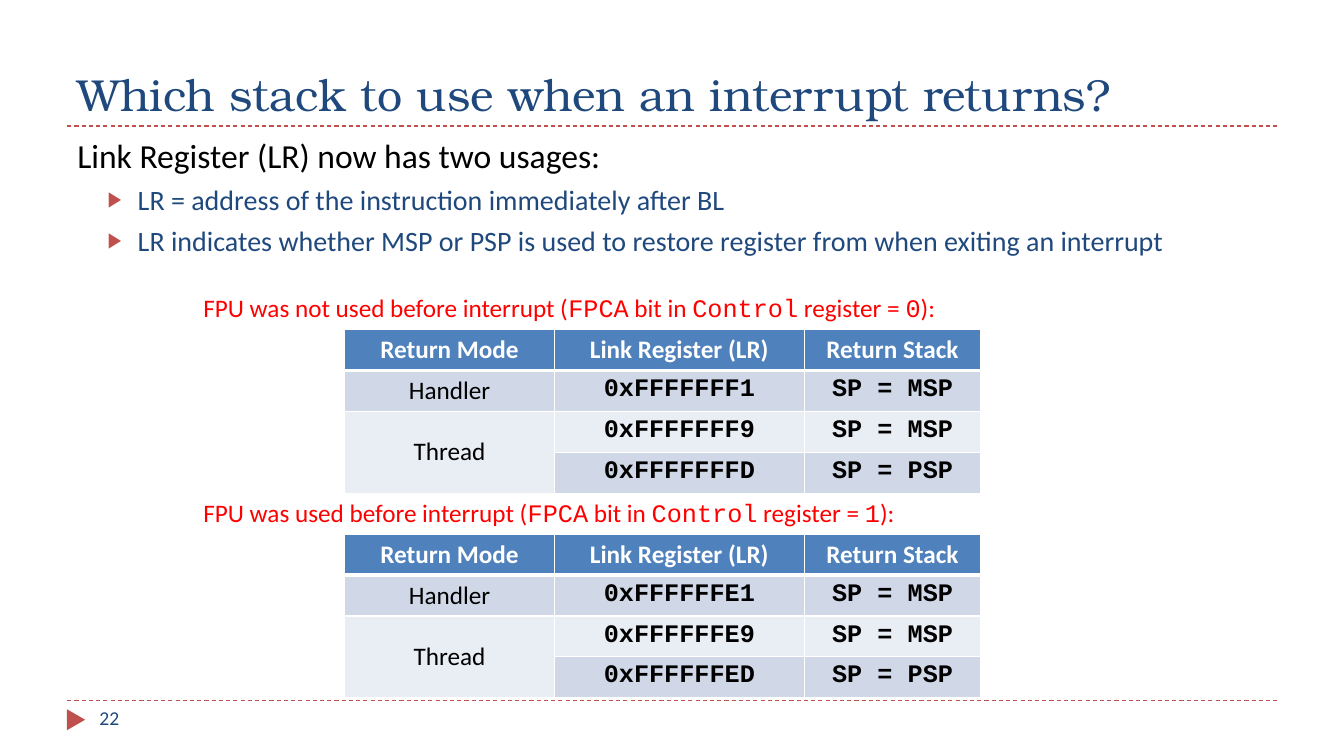
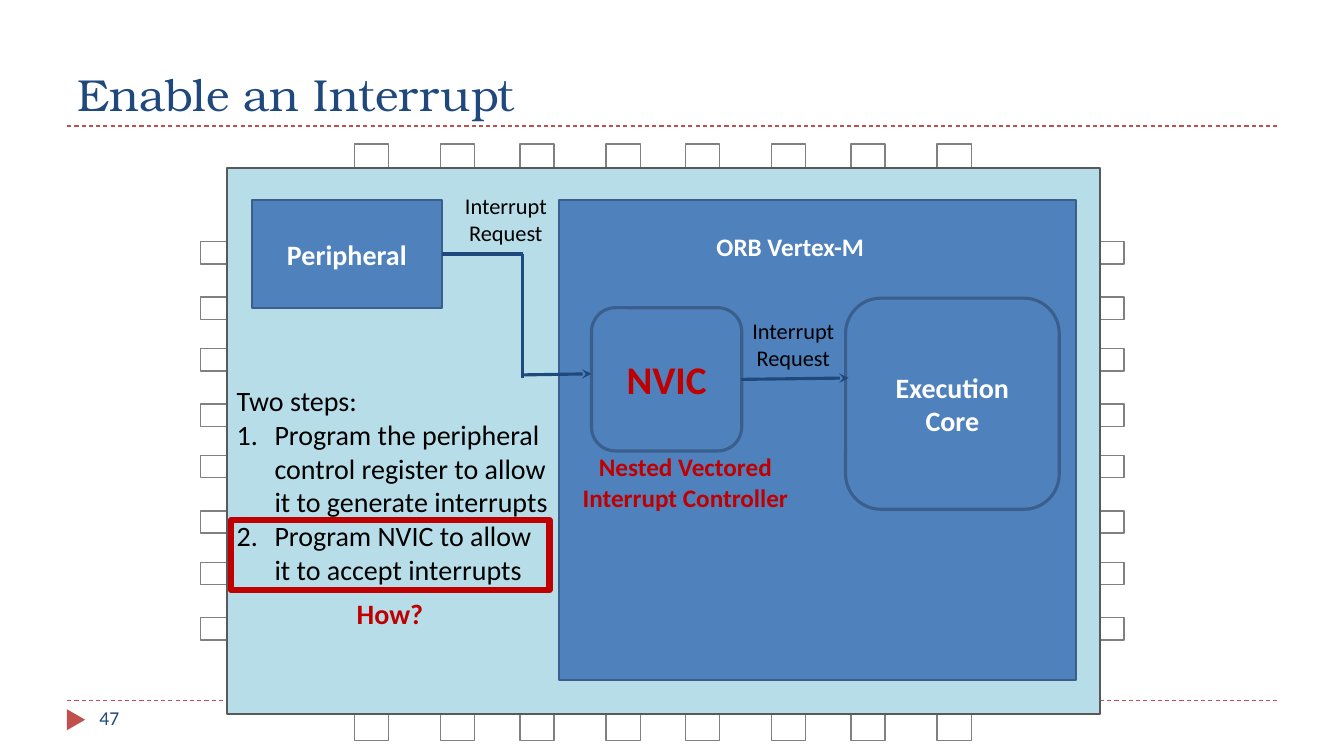
"""Build two slides about interrupt returns and enabling an interrupt."""
import itertools
from dataclasses import dataclass
from typing import Any, Optional

import lxml.etree
import pptx
import pptx.dml.color
import pptx.enum.dml
import pptx.enum.shapes
import pptx.enum.text
import pptx.oxml.ns
import pptx.util

Pt = pptx.util.Pt
qn = pptx.oxml.ns.qn
Kind = pptx.enum.shapes.MSO_SHAPE
Align = pptx.enum.text.PP_ALIGN
Anchor = pptx.enum.text.MSO_ANCHOR


@dataclass(frozen=True)
class Theme:
    navy: str = "1F497D"
    brick: str = "C0504D"
    blue: str = "4F81BD"
    edge: str = "3A5F8C"
    aqua: str = "B7DEE8"
    grey: str = "808080"
    dark: str = "595959"
    band: str = "D0D8E8"
    pale: str = "E9EDF4"
    alert: str = "FF0000"
    red: str = "C00000"
    black: str = "000000"
    white: str = "FFFFFF"
    serif: str = "TeX Gyre Bonum"
    sans: str = "Calibri"
    mono: str = "Courier New"
    title: float = 32
    huge: float = 28
    lead: float = 24
    body: float = 20
    label: float = 18
    small: float = 16
    page: float = 14


T = Theme()


@dataclass(frozen=True)
class Box:
    x: float
    y: float
    w: float
    h: float
    text: str = ""
    size: float = T.body
    ink: str = T.white
    bold: bool = True
    align: Any = Align.CENTER
    kind: Any = None
    fill: Optional[str] = None
    line: Optional[str] = None
    width: float = 1.5


@dataclass(frozen=True)
class Wire:
    x1: float
    y1: float
    x2: float
    y2: float
    color: str = T.navy
    width: float = 2.25
    dash: bool = False
    arrow: bool = False


@dataclass(frozen=True)
class Grid:
    y: float
    state: str
    bit: str
    digit: str


def tint(color: str) -> pptx.dml.color.RGBColor:
    return pptx.dml.color.RGBColor.from_string(color)


def style(para: Any, size: float, ink: str, bold: bool = False, face: Optional[str] = T.sans) -> None:
    font = para.font
    font.size, font.bold, font.name = Pt(size), bold, face
    font.color.rgb = tint(ink)


def mark(para: Any, left: float, hang: float, *parts: tuple[str, dict[str, str]]) -> None:
    props = para._p.get_or_add_pPr()
    props.set("marL", str(Pt(left)))
    props.set("indent", str(Pt(-hang)))
    for tag, attrs in parts:
        node = lxml.etree.SubElement(props, qn(tag), attrs)
        if tag == "a:buClr":
            lxml.etree.SubElement(node, qn("a:srgbClr"), {"val": T.brick})


def place(shape: Any, x: float, y: float, w: float, h: float) -> None:
    shape.left, shape.top, shape.width, shape.height = Pt(x), Pt(y), Pt(w), Pt(h)


def draw(slide: Any, box: Box) -> Any:
    area = Pt(box.x), Pt(box.y), Pt(box.w), Pt(box.h)
    if box.kind is None:
        shape = slide.shapes.add_textbox(*area)
    else:
        shape = slide.shapes.add_shape(box.kind, *area)
        shape.shadow.inherit = False
        if box.fill:
            shape.fill.solid()
            shape.fill.fore_color.rgb = tint(box.fill)
        else:
            shape.fill.background()
        if box.line:
            shape.line.color.rgb = tint(box.line)
            shape.line.width = Pt(box.width)
        else:
            shape.line.fill.background()
    if box.text:
        frame = shape.text_frame
        frame.word_wrap = True
        frame.text = box.text
        for para in frame.paragraphs:
            para.alignment = box.align
            style(para, box.size, box.ink, box.bold)
    return shape


def link(slide: Any, wire: Wire) -> Any:
    line = slide.shapes.add_connector(
        pptx.enum.shapes.MSO_CONNECTOR.STRAIGHT,
        Pt(wire.x1), Pt(wire.y1), Pt(wire.x2), Pt(wire.y2))
    line.line.color.rgb = tint(wire.color)
    line.line.width = Pt(wire.width)
    if wire.dash:
        line.line.dash_style = pptx.enum.dml.MSO_LINE.DASH
    props = line.element.spPr
    if wire.arrow:
        lxml.etree.SubElement(props.find(qn("a:ln")), qn("a:tailEnd"), {"type": "stealth"})
    lxml.etree.SubElement(props, qn("a:effectLst"))
    return line


def brand(deck: Any, slide: Any) -> None:
    rules = [link(slide, Wire(48, y, 912, y, T.brick, 0.75, dash=True)) for y in (500.4, 90)]
    arrow = draw(slide, Box(46.8, 507.6, 15, 13, kind=Kind.ISOSCELES_TRIANGLE, fill=T.brick))
    arrow.rotation = 90
    for key, shape in enumerate([*rules, arrow], 100):
        shape.element.xpath(".//p:cNvPr")[0].set("id", str(key))
        deck.slide_master.shapes.element.append(shape.element)


def start(deck: Any, layout: int, title: str, page: str) -> Any:
    slide = deck.slides.add_slide(deck.slide_layouts[layout])
    head = slide.shapes.title
    place(head, 48, 12.2, 864, 77.8)
    frame = head.text_frame
    frame.text = title
    frame.auto_size = pptx.enum.text.MSO_AUTO_SIZE.NONE
    frame.vertical_anchor = Anchor.BOTTOM
    frame.paragraphs[0].alignment = Align.LEFT
    style(frame.paragraphs[0], T.title, T.navy, face=T.serif)
    draw(slide, Box(64, 500.4, 208, 28.8, page, T.page, T.navy, False, Align.LEFT))
    return slide


def border(cell: Any, top: float, base: float) -> None:
    props = cell._tc.get_or_add_tcPr()
    for side, width in (("L", 1), ("R", 1), ("T", top), ("B", base)):
        edge = lxml.etree.SubElement(props, qn(f"a:ln{side}"), {"w": str(Pt(width))})
        fill = lxml.etree.SubElement(edge, qn("a:solidFill"))
        lxml.etree.SubElement(fill, qn("a:srgbClr"), {"val": T.white})


def table(slide: Any, grid: Grid) -> None:
    note = draw(slide, Box(138.2, grid.y - 30, 560, 28.8, " ", align=Align.LEFT))
    para = note.text_frame.paragraphs[0]
    para.clear()
    words = (f"FPU was {grid.state} before interrupt (", "FPCA", " bit in ",
             "Control", " register = ", grid.bit, "):")
    for text, face in zip(words, itertools.cycle((T.sans, T.mono))):
        run = para.add_run()
        run.text, run.font.name = text, face
    style(para, T.label, T.alert, face=None)

    rows = [("Return Mode", "Link Register (LR)", "Return Stack")]
    for mode, end, stack in (("Handler", "1", "MSP"), ("Thread", "9", "MSP"), ("", "D", "PSP")):
        rows.append((mode, f"0xFFFFFF{grid.digit}{end}", f"SP = {stack}"))
    widths, high = (149.8, 178.6, 126), 29.2
    sheet = slide.shapes.add_table(
        len(rows), len(widths), Pt(246.2), Pt(grid.y),
        Pt(sum(widths)), Pt(high * len(rows))).table
    for col, width in zip(sheet.columns, widths):
        col.width = Pt(width)
    for r, row in enumerate(rows):
        sheet.rows[r].height = Pt(high)
        for c, text in enumerate(row):
            cell = sheet.cell(r, c)
            border(cell, 3 if r == 1 else 1, 3 if r == 0 else 1)
            cell.fill.solid()
            cell.fill.fore_color.rgb = tint(T.blue if r == 0 else T.band if r % 2 else T.pale)
            cell.text = text
            para = cell.text_frame.paragraphs[0]
            para.alignment = Align.CENTER
            style(para, T.label, T.black if r else T.white, r == 0 or c > 0,
                  T.mono if r and c else T.sans)
    sheet.cell(2, 0).merge(sheet.cell(3, 0))
    sheet.cell(2, 0).vertical_anchor = Anchor.MIDDLE


def stacks(deck: Any) -> None:
    slide = start(deck, 1, "Which stack to use when an interrupt returns?", "22")
    brand(deck, slide)
    body = slide.placeholders[1]
    place(body, 48, 92.9, 864, 192)
    frame = body.text_frame
    frame.text = "\n".join((
        "Link Register (LR) now has two usages:",
        "LR = address of the instruction immediately after BL",
        "LR indicates whether MSP or PSP is used to restore register from when exiting an interrupt"))
    frame.auto_size = pptx.enum.text.MSO_AUTO_SIZE.NONE
    lead, *items = frame.paragraphs
    mark(lead, 21.6, 21.6, ("a:buNone", {}))
    lead.space_before = Pt(0)
    style(lead, T.lead, T.black)
    for para in items:
        para.level = 1
        mark(para, 43.2, 21.6, ("a:buClr", {}), ("a:buSzPct", {"val": "76000"}),
             ("a:buChar", {"char": "▶"}))
        para.space_before = Pt(5)
        style(para, T.body, T.navy)
    for grid in (Grid(235.5, "not used", "0", "F"), Grid(381.6, "used", "1", "E")):
        table(slide, grid)


def enable(deck: Any) -> None:
    slide = start(deck, 5, "Enable an Interrupt", "47")
    rect, soft = Kind.RECTANGLE, Kind.ROUNDED_RECTANGLE
    slots = list(itertools.product(range(4), range(2)))
    pins = [Box(253.2 + 118.2 * i + 61.5 * j, 103, 24.5, 426, kind=rect, line=T.grey, width=1)
            for i, j in slots]
    pins += [Box(143, 172.7 + 76.3 * i + 39.6 * j, 660, 16, kind=rect, line=T.grey, width=1)
             for i, j in slots]
    parts = [
        Box(162, 120, 624, 390, kind=rect, fill=T.aqua, line=T.dark),
        Box(180, 143, 135.6, 77, "Peripheral", kind=rect, fill=T.blue, line=T.edge),
        Box(399.4, 142.8, 369, 343, kind=rect, fill=T.blue, line=T.edge),
        Box(484, 162, 161, 28.8, "ORB Vertex-M", T.label),
        Box(604, 213, 152.6, 150.8, "Execution\nCore", kind=soft, line=T.edge, width=2.25),
        Box(422.5, 219.8, 107.3, 102.3, "NVIC", T.huge, T.red, kind=soft, line=T.edge, width=2.25),
        Box(396, 319, 187.2, 51, "Nested Vectored Interrupt Controller", T.label, T.red),
        Box(165, 371.5, 227.5, 50, kind=rect, line=T.red, width=4.5),
        Box(247.7, 422.6, 72, 32, "How?", ink=T.red, align=Align.LEFT),
    ]
    parts += [Box(x, y, 90.7, 46, "Interrupt Request", T.small, T.black, False)
              for x, y in ((316, 134), (521.3, 223.2))]
    for box in pins + parts:
        draw(slide, box)
    for wire in (Wire(373, 267.8, 422.5, 267, arrow=True), Wire(315.4, 181.4, 373.7, 181.4),
                 Wire(373, 270, 373, 181.4), Wire(529.2, 271, 606.2, 270, arrow=True)):
        link(slide, wire)
    steps = draw(slide, Box(
        162, 270.7, 239, 152.6,
        "Two steps:\nProgram the peripheral control register to allow it to generate interrupts"
        "\nProgram NVIC to allow it to accept interrupts",
        ink=T.black, bold=False, align=Align.LEFT))
    for para in steps.text_frame.paragraphs[1:]:
        para._p.pPr.remove(para._p.pPr.find(qn("a:defRPr")))
        mark(para, 27, 27, ("a:buFont", {"typeface": "+mj-lt"}),
             ("a:buAutoNum", {"type": "arabicPeriod"}))
        style(para, T.body, T.black)


def main() -> None:
    deck = pptx.Presentation()
    deck.slide_width, deck.slide_height = Pt(960), Pt(540)
    stacks(deck)
    enable(deck)
    deck.save("out.pptx")


if __name__ == "__main__":
    main()
